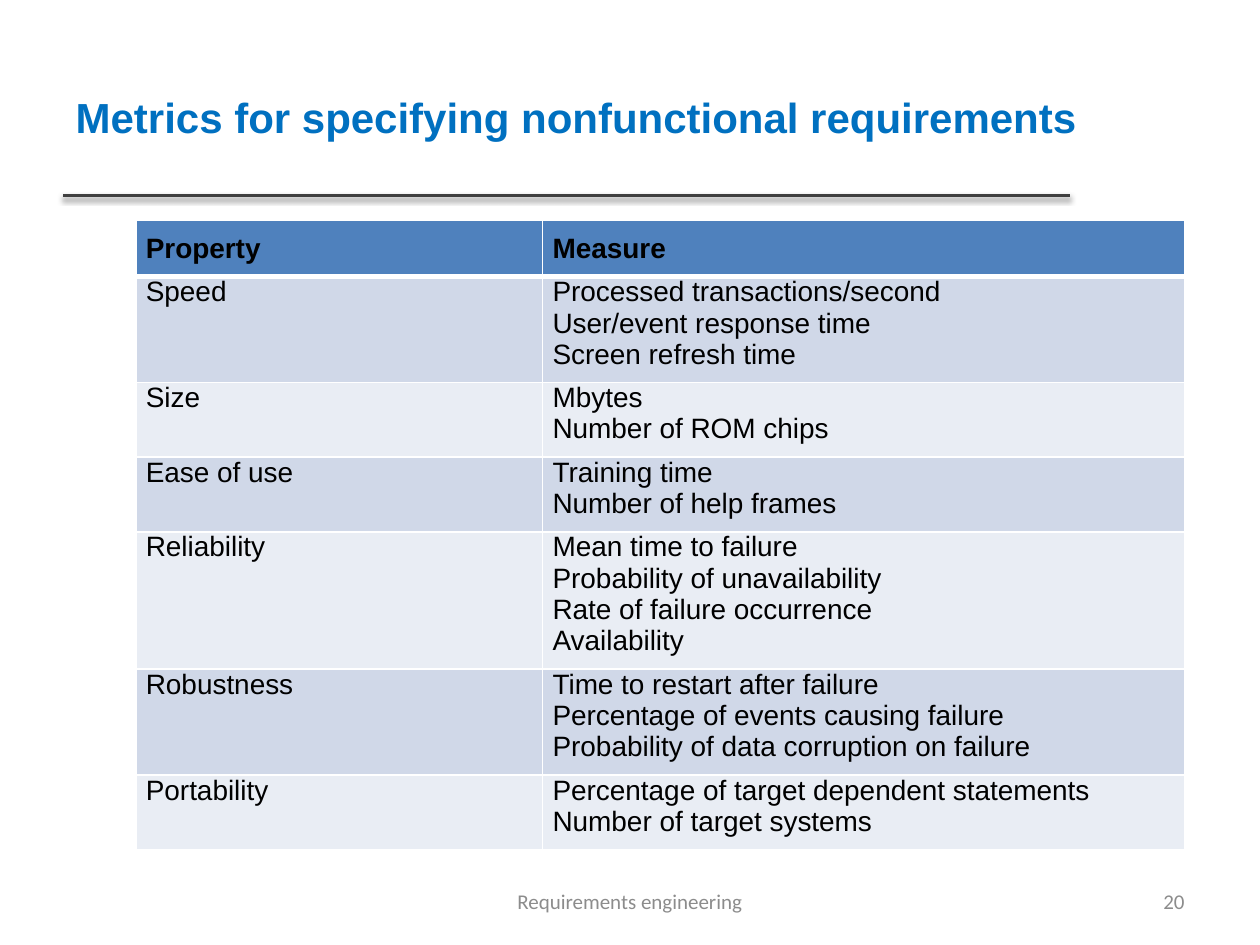
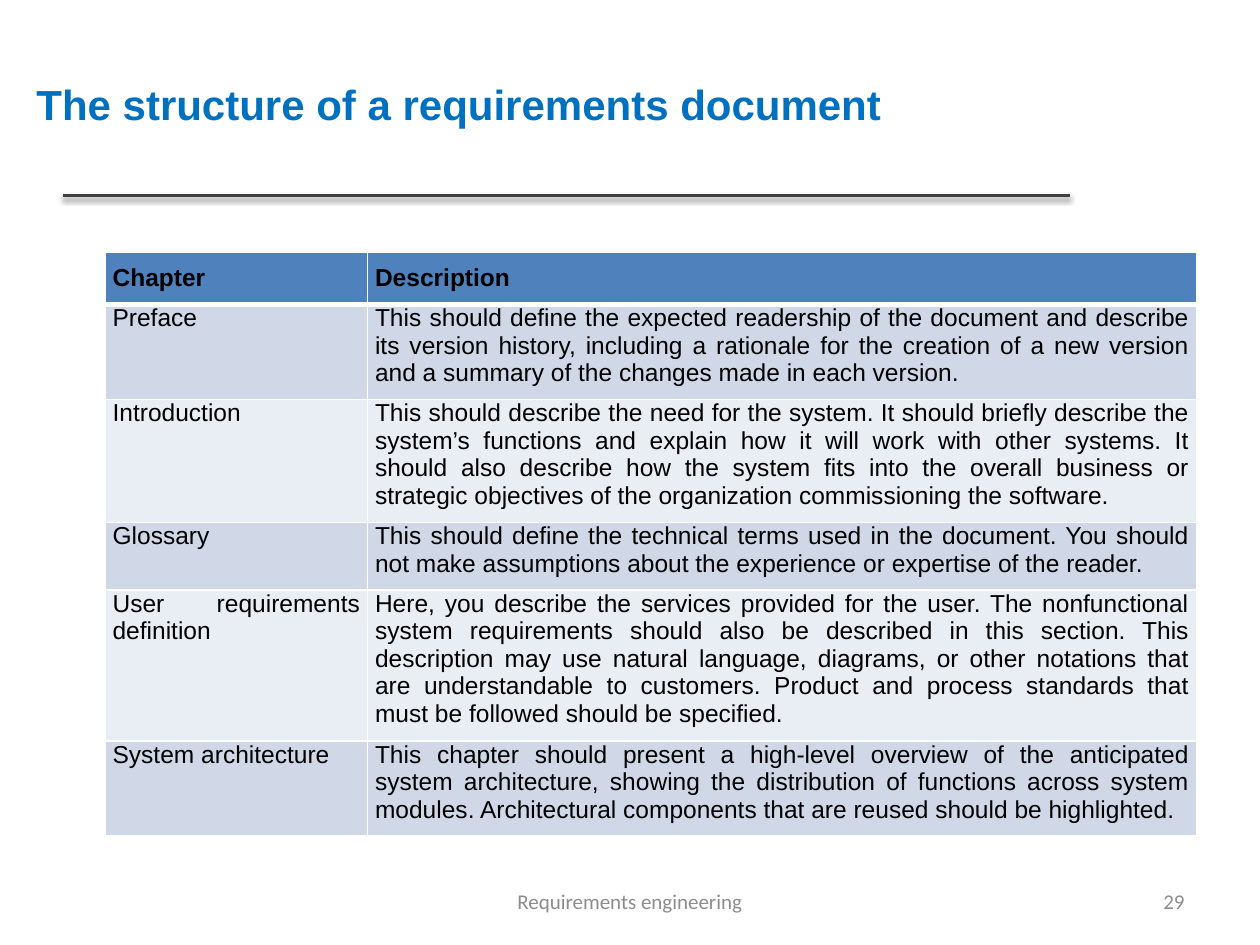
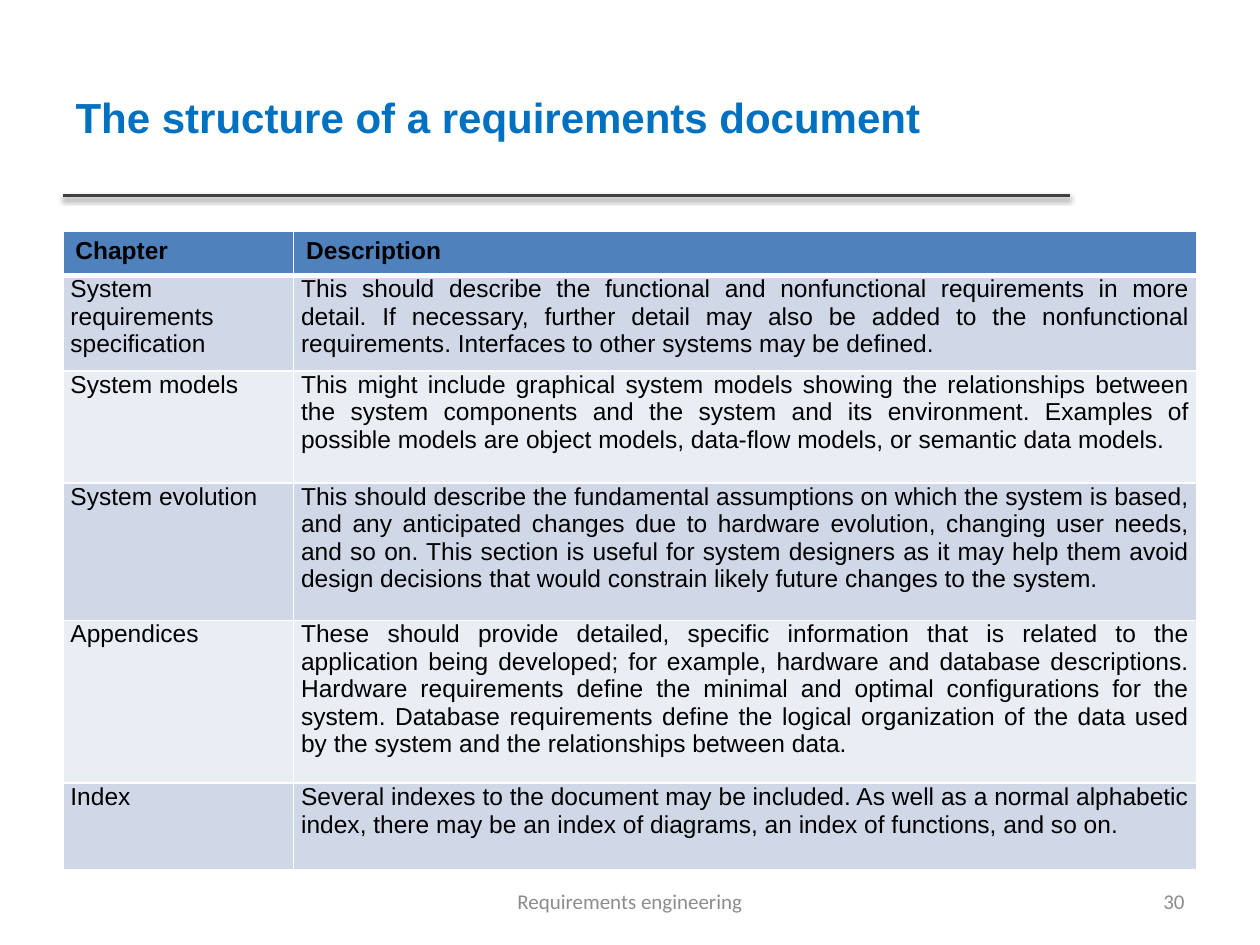
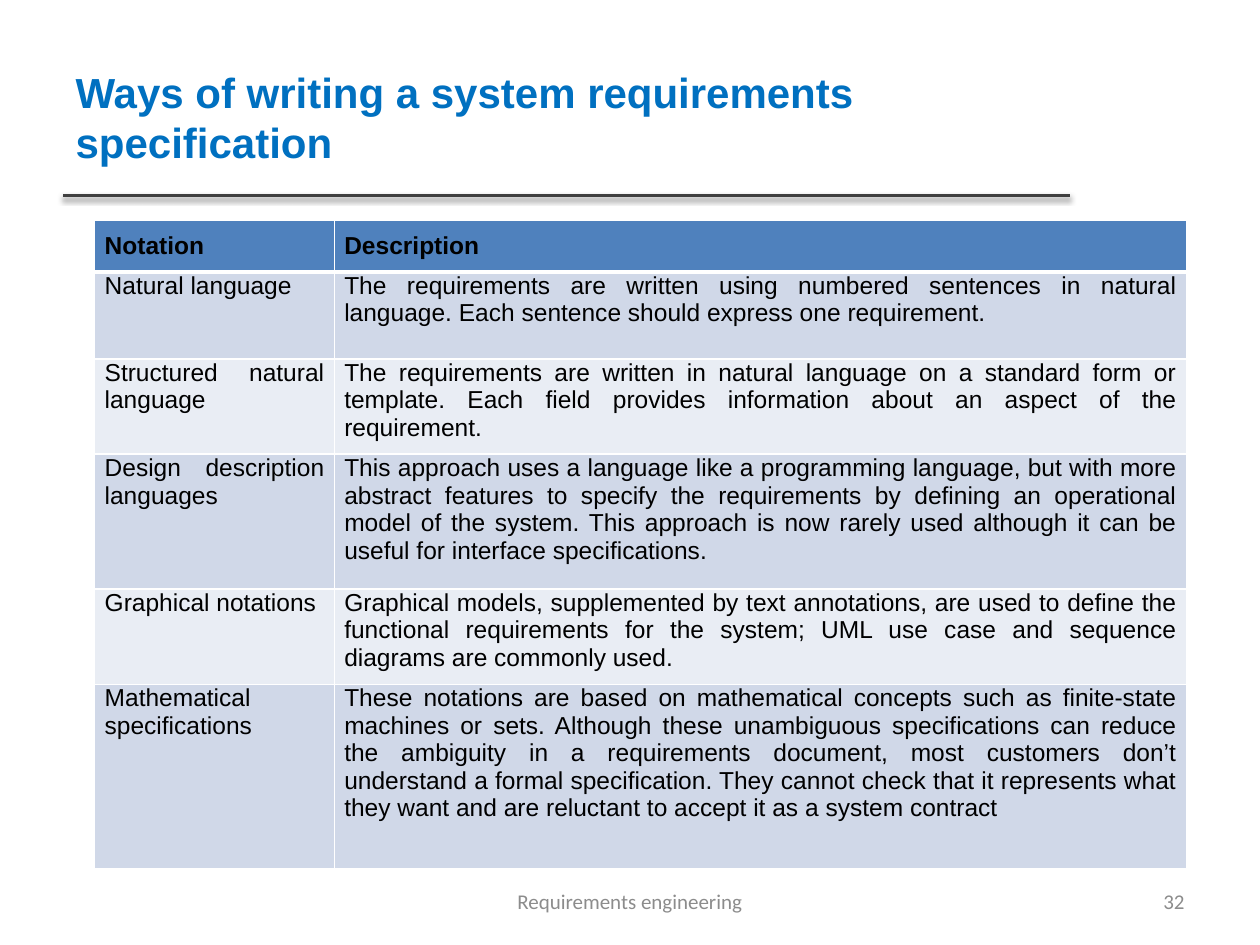
"""Build four slides of requirements engineering tables."""
from lxml import etree
from pptx import Presentation
from pptx.dml.color import RGBColor
from pptx.enum.shapes import MSO_CONNECTOR
from pptx.enum.text import MSO_ANCHOR, MSO_AUTO_SIZE, PP_ALIGN
from pptx.oxml import parse_xml
from pptx.oxml.ns import qn
from pptx.util import Cm, Pt

STRAIGHT = MSO_CONNECTOR.STRAIGHT
MIDDLE = MSO_ANCHOR.MIDDLE
NO_FIT = MSO_AUTO_SIZE.NONE
LEFT, CENTER, RIGHT, JUSTIFY = PP_ALIGN.LEFT, PP_ALIGN.CENTER, PP_ALIGN.RIGHT, PP_ALIGN.JUSTIFY

COLORS = {
    "title": "0070C0",
    "rule": "404040",
    "shadow": "000000",
    "header": "4F81BD",
    "odd": "D0D8E8",
    "even": "E9EDF4",
    "border": "FFFFFF",
    "text": "000000",
    "footer": "8C8C8C",
}
DRAWING_NS = "http://schemas.openxmlformats.org/drawingml/2006/main"
FOOTER = "Requirements engineering"
FOOTER_TOP, FOOTER_HEIGHT = 17.65, 1.02
BODY_BOTTOM_INSET = 0.25

PAGES = [
    {
        "number": "20",
        "title": "Metrics for specifying nonfunctional requirements",
        "title_box": (1.27, 0.76, 21.16, 3.18),
        "table_at": (2.74, 4.45),
        "columns": (8.2, 12.95),
        "heights": (1.12, 2.13, 1.5, 1.5, 2.77, 2.13, 1.5),
        "size": 16,
        "header_inset": (0.2, 0.25),
        "side_inset": 0.2,
        "rows": [
            ("Property", "Measure"),
            ("Speed", "Processed transactions/second\nUser/event response time\nScreen refresh time"),
            ("Size", "Mbytes\nNumber of ROM chips"),
            ("Ease of use", "Training time\nNumber of help frames"),
            ("Reliability", "Mean time to failure\nProbability of unavailability\n"
             "Rate of failure occurrence\nAvailability"),
            ("Robustness", "Time to restart after failure\nPercentage of events causing failure\n"
             "Probability of data corruption on failure"),
            ("Portability", "Percentage of target dependent statements\nNumber of target systems"),
        ],
    },
    {
        "number": "29",
        "title": "The structure of a requirements document",
        "title_box": (0.48, 0.58, 20.47, 3.02),
        "table_at": (2.12, 5.08),
        "columns": (5.29, 16.72),
        "heights": (1.03, 1.9, 2.48, 1.35, 3.04, 1.9),
        "size": 14,
        "header_inset": (0.15, 0.25),
        "side_inset": 0.15,
        "rows": [
            ("Chapter", "Description"),
            ("Preface", "This should define the expected readership of the document and describe its "
             "version history, including a rationale for the creation of a new version and a summary "
             "of the changes made in each version."),
            ("Introduction", "This should describe the need for the system. It should briefly describe "
             "the system’s functions and explain how it will work with other systems. It should also "
             "describe how the system fits into the overall business or strategic objectives of the "
             "organization commissioning the software."),
            ("Glossary", "This should define the technical terms used in the document. You should not "
             "make assumptions about the experience or expertise of the reader."),
            ("User requirements definition", "Here, you describe the services provided for the user. "
             "The nonfunctional system requirements should also be described in this section. This "
             "description may use natural language, diagrams, or other notations that are "
             "understandable to customers. Product and process standards that must be followed "
             "should be specified."),
            ("System architecture", "This chapter should present a high-level overview of the "
             "anticipated system architecture, showing the distribution of functions across system "
             "modules. Architectural components that are reused should be highlighted."),
        ],
    },
    {
        "number": "30",
        "title": "The structure of a requirements document",
        "title_box": (1.27, 0.76, 20.27, 3.18),
        "table_at": (1.27, 4.66),
        "columns": (4.65, 18.21),
        "heights": (0.89, 1.93, 2.26, 2.77, 3.28, 1.75),
        "size": 14,
        "header_inset": (0.25, 0.13),
        "side_inset": 0.15,
        "rows": [
            ("Chapter", "Description"),
            ("System requirements specification", "This should describe the functional and "
             "nonfunctional requirements in more detail. If necessary, further detail may also be "
             "added to the nonfunctional requirements. Interfaces to other systems may be defined."),
            ("System models", "This might include graphical system models showing the relationships "
             "between the system components and the system and its environment. Examples of possible "
             "models are object models, data-flow models, or semantic data models."),
            ("System evolution", "This should describe the fundamental assumptions on which the system "
             "is based, and any anticipated changes due to hardware evolution, changing user needs, "
             "and so on. This section is useful for system designers as it may help them avoid design "
             "decisions that would constrain likely future changes to the system."),
            ("Appendices", "These should provide detailed, specific information that is related to the "
             "application being developed; for example, hardware and database descriptions. Hardware "
             "requirements define the minimal and optimal configurations for the system. Database "
             "requirements define the logical organization of the data used by the system and the "
             "relationships between data."),
            ("Index", "Several indexes to the document may be included. As well as a normal alphabetic "
             "index, there may be an index of diagrams, an index of functions, and so on."),
        ],
    },
    {
        "number": "32",
        "title": "Ways of writing a system requirements specification",
        "title_box": (1.27, 0.76, 20.27, 3.18),
        "table_at": (1.91, 4.43),
        "columns": (4.83, 17.19),
        "heights": (1.02, 1.75, 1.92, 2.72, 1.92, 3.71),
        "size": 14,
        "header_inset": (0.2, 0.25),
        "side_inset": 0.2,
        "rows": [
            ("Notation", "Description"),
            ("Natural language", "The requirements are written using numbered sentences in natural "
             "language. Each sentence should express one requirement."),
            ("Structured natural language", "The requirements are written in natural language on a "
             "standard form or template. Each field provides information about an aspect of the "
             "requirement."),
            ("Design description languages", "This approach uses a language like a programming "
             "language, but with more abstract features to specify the requirements by defining an "
             "operational model of the system. This approach is now rarely used although it can be "
             "useful for interface specifications."),
            ("Graphical notations", "Graphical models, supplemented by text annotations, are used to "
             "define the functional requirements for the system; UML use case and sequence diagrams "
             "are commonly used."),
            ("Mathematical specifications", "These notations are based on mathematical concepts such "
             "as finite-state machines or sets. Although these unambiguous specifications can reduce "
             "the ambiguity in a requirements document, most customers don’t understand a formal "
             "specification. They cannot check that it represents what they want and are reluctant "
             "to accept it as a system contract"),
        ],
    },
]


def write(frame, text, font, size, color, align, bold=False):
    for index, line in enumerate(text.split("\n")):
        paragraph = frame.add_paragraph() if index else frame.paragraphs[0]
        paragraph.alignment = align
        run = paragraph.add_run()
        run.text = line
        run.font.name = font
        run.font.size = Pt(size)
        run.font.bold = bold
        run.font.color.rgb = RGBColor.from_string(COLORS[color])


def add_border(cell, side, width):
    properties = cell._tc.get_or_add_tcPr()
    edge = etree.SubElement(properties, qn(f"a:ln{side}"), w=str(Pt(width)))
    fill = etree.SubElement(edge, qn("a:solidFill"))
    etree.SubElement(fill, qn("a:srgbClr"), val=COLORS["border"])


deck = Presentation()
deck.slide_width, deck.slide_height = Cm(25.4), Cm(19.05)
layout = deck.slide_layouts.get_by_name("Title Only")

for page in PAGES:
    slide = deck.slides.add_slide(layout)

    if page is PAGES[0]:
        rule = slide.shapes.add_connector(STRAIGHT, Cm(1.27), Cm(3.94), Cm(21.56), Cm(3.94))
        rule.line.color.rgb = RGBColor.from_string(COLORS["rule"])
        rule.line.width = Pt(2)
        rule.element.spPr.append(parse_xml(
            f'<a:effectLst xmlns:a="{DRAWING_NS}">'
            f'<a:outerShdw blurRad="{Pt(3.1)}" dist="{Pt(1.6)}" dir="5400000" rotWithShape="0">'
            f'<a:srgbClr val="{COLORS["shadow"]}"><a:alpha val="38000"/></a:srgbClr>'
            '</a:outerShdw></a:effectLst>'))
        rule.element.nvCxnSpPr.cNvPr.set("id", "20")
        layout.shapes.element.append(rule.element)

    title = slide.shapes.title
    title.left, title.top, title.width, title.height = map(Cm, page["title_box"])
    title.text_frame.vertical_anchor = MIDDLE
    title.text_frame.auto_size = NO_FIT
    write(title.text_frame, page["title"], "Arial", 24, "title", LEFT, True)

    rows, columns, heights = page["rows"], page["columns"], page["heights"]
    left, top = page["table_at"]
    table = slide.shapes.add_table(
        len(rows), len(columns), Cm(left), Cm(top), Cm(sum(columns)), Cm(sum(heights))).table
    for column, width in zip(table.columns, columns):
        column.width = Cm(width)

    for row_index, entries in enumerate(rows):
        table.rows[row_index].height = Cm(heights[row_index])
        is_header = row_index == 0
        if is_header:
            side_inset, top_inset = page["header_inset"]
            bottom_inset, band = top_inset, "header"
        else:
            side_inset, top_inset, bottom_inset = page["side_inset"], 0, BODY_BOTTOM_INSET
            band = "odd" if row_index % 2 else "even"
        for column_index, entry in enumerate(entries):
            cell = table.cell(row_index, column_index)
            cell.margin_left = cell.margin_right = Cm(side_inset)
            cell.margin_top, cell.margin_bottom = Cm(top_inset), Cm(bottom_inset)
            for side in "LRTB":
                under_header = (side, row_index) in (("B", 0), ("T", 1))
                add_border(cell, side, 3 if under_header else 1)
            cell.fill.solid()
            cell.fill.fore_color.rgb = RGBColor.from_string(COLORS[band])
            write(cell.text_frame, entry, "Arial", page["size"], "text", JUSTIFY, is_header)

    for left, width, caption, align in (
            (18.2, 5.93, page["number"], RIGHT), (8.68, 8.04, FOOTER, CENTER)):
        footer = slide.shapes.add_textbox(
            Cm(left), Cm(FOOTER_TOP), Cm(width), Cm(FOOTER_HEIGHT)).text_frame
        footer.word_wrap = True
        footer.vertical_anchor = MIDDLE
        write(footer, caption, "Calibri", 12, "footer", align)

deck.save("out.pptx")
